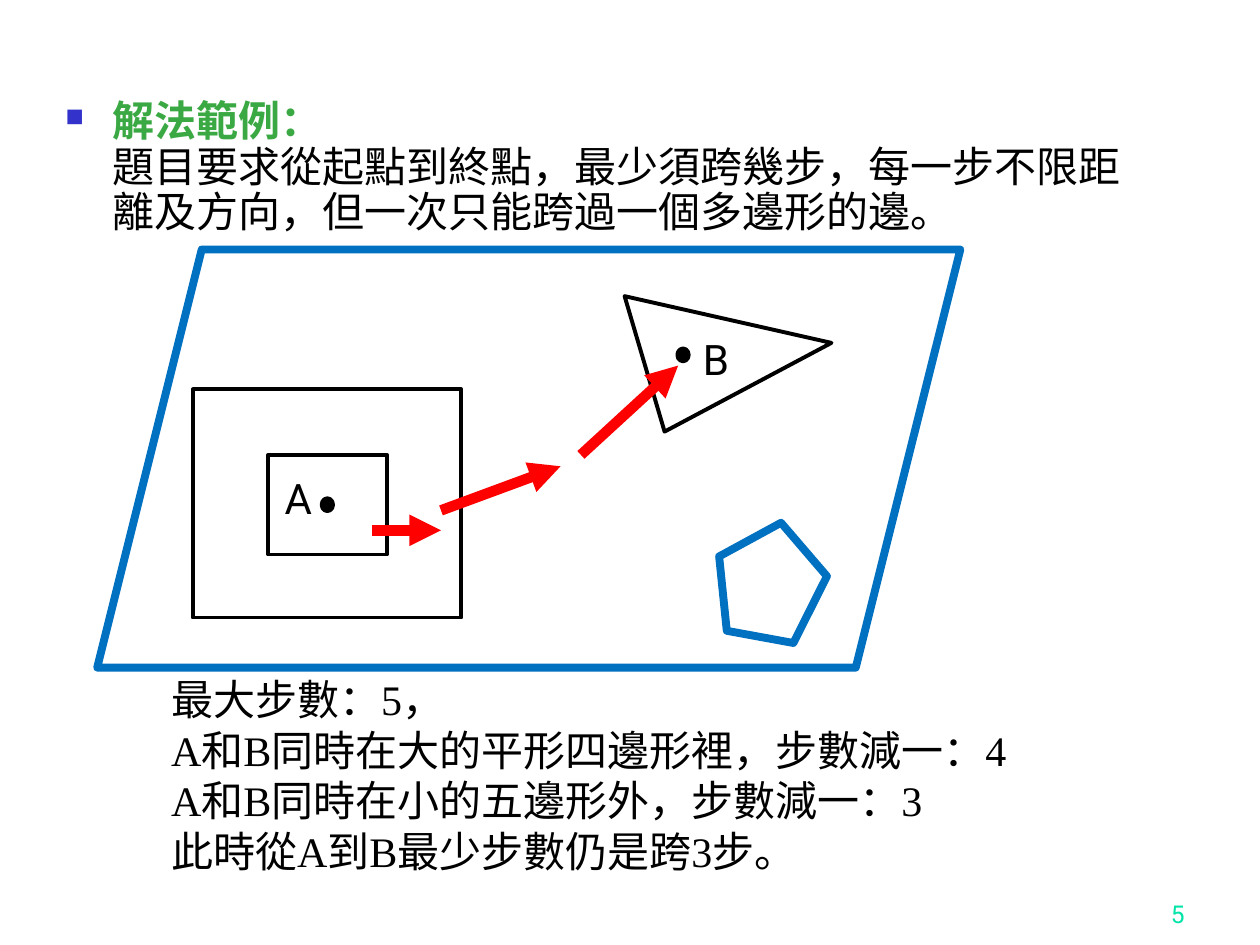
import pptx
import pptx.dml.color
import pptx.enum.shapes
import pptx.enum.text
import pptx.oxml
import pptx.oxml.ns
import pptx.util
from pptx.util import Cm

COLORS = {
    "ink": "000000",
    "heading": "3BA943",
    "bullet": "3333CC",
    "outline": "0070C0",
    "step": "FF0000",
    "number": "00E4A8",
}
SERIF, SANS = "Times New Roman", "Roboto"
SHAPE = pptx.enum.shapes.MSO_SHAPE


def rgb(name):
    """Return the palette colour with this name."""
    return pptx.dml.color.RGBColor.from_string(COLORS[name])


def add_xml(parent, xml):
    """Append a DrawingML element written without its namespace."""
    tag, rest = xml[1:].split(" ", 1)
    namespace = pptx.oxml.ns.nsdecls("a")
    parent.append(pptx.oxml.parse_xml(f"<a:{tag} {namespace} {rest}"))


def add_bullet(paragraph):
    """Give a paragraph a small square bullet with a hanging indent."""
    properties = paragraph._p.get_or_add_pPr()
    properties.set("marL", str(Cm(0.95)))
    properties.set("indent", str(-Cm(0.95)))
    add_xml(properties, f'<buClr ><a:srgbClr val="{COLORS["bullet"]}"/></a:buClr>')
    add_xml(properties, '<buSzPct val="60000"/>')
    add_xml(properties, '<buChar char="■"/>')


def add_text(slide, text, left, top, width, height, font=SERIF, size=24,
             color="ink", wrap=True, align="LEFT", anchor="TOP", heading=None,
             spacing=None):
    """Add a text box; lines are paragraphs and \\v breaks a line inside one."""
    box = slide.shapes.add_textbox(Cm(left), Cm(top), Cm(width), Cm(height))
    frame = box.text_frame
    frame.word_wrap = wrap
    frame.vertical_anchor = getattr(pptx.enum.text.MSO_ANCHOR, anchor)
    if not wrap:
        frame.auto_size = pptx.enum.text.MSO_AUTO_SIZE.SHAPE_TO_FIT_TEXT
    frame.text = f"{heading}\v{text}" if heading else text
    for paragraph in frame.paragraphs:
        if heading:
            add_bullet(paragraph)
        paragraph.alignment = getattr(pptx.enum.text.PP_ALIGN, align)
        paragraph.line_spacing = spacing
        for run in paragraph.runs:
            is_heading = run.text == heading
            run.font.name = font
            run.font.size = pptx.util.Pt(size)
            run.font.bold = is_heading
            run.font.color.rgb = rgb("heading" if is_heading else color)


def add_polygon(slide, kind, left, top, width, height, color="ink", weight=2.25,
                filled=False, rotation=0, adjustment=None):
    """Add a preset shape with an outline and an optional solid fill."""
    shape = slide.shapes.add_shape(kind, Cm(left), Cm(top), Cm(width), Cm(height))
    shape.shadow.inherit = False
    shape.rotation = rotation
    if adjustment is not None:
        shape.adjustments[0] = adjustment
    if filled:
        shape.fill.solid()
        shape.fill.fore_color.rgb = rgb(color)
    else:
        shape.fill.background()
    shape.line.color.rgb = rgb(color)
    shape.line.width = pptx.util.Pt(weight)


def add_step(slide, start, end):
    """Add a red arrow for one step."""
    step = slide.shapes.add_connector(
        pptx.enum.shapes.MSO_CONNECTOR.STRAIGHT, *map(Cm, start + end))
    step.line.color.rgb = rgb("step")
    step.line.width = pptx.util.Pt(6)
    add_xml(step.line._get_or_add_ln(), '<tailEnd type="triangle"/>')
    add_xml(step._element.spPr, "<effectLst />")


def add_point(slide, label, dot, label_corner):
    """Add a labelled dot."""
    add_polygon(slide, SHAPE.OVAL, *dot, 0.2, 0.23, weight=3, filled=True)
    add_text(slide, label, *label_corner, 1.04, 1.27, font=SANS, wrap=False)


def main():
    """Build the slide and save it."""
    deck = pptx.Presentation()
    deck.slide_width, deck.slide_height = Cm(25.4), Cm(19.05)
    slide = deck.slides.add_slide(deck.slide_layouts[6])

    add_text(slide, "5", 18.85, 17.58, 5.28, 1.27, font=SANS, size=14,
             color="number", align="RIGHT", anchor="BOTTOM")
    add_text(slide, "題目要求從起點到終點，最少須跨幾步，每一步不限距離及方向，"
             "但一次只能跨過一個多邊形的邊。",
             1.07, 1.9, 22.43, 15.62, heading="解法範例：", spacing=0.9)
    add_polygon(slide, SHAPE.PARALLELOGRAM, 1.96, 5.03, 17.4, 8.43,
                color="outline", weight=4.5, adjustment=0.25)
    add_text(slide, "最大步數：5，\n"
             "A和B同時在大的平形四邊形裡，步數減一：4\n"
             "A和B同時在小的五邊形外，步數減一：3\v"
             "此時從A到B最少步數仍是跨3步。",
             3.2, 13.46, 18.16, 4.32, wrap=False)
    add_polygon(slide, SHAPE.REGULAR_PENTAGON, 14.43, 10.52, 2.21, 2.34,
                color="outline", weight=4.5, rotation=10.4)
    add_polygon(slide, SHAPE.RECTANGLE, 3.89, 7.85, 5.41, 4.6)
    add_polygon(slide, SHAPE.ISOSCELES_TRIANGLE, 12.52, 5.18, 3.81, 2.79,
                rotation=332, adjustment=0.15)
    add_polygon(slide, SHAPE.RECTANGLE, 5.41, 9.17, 2.39, 2.01)
    add_point(slide, "A", (6.5, 10.06), (5.49, 9.4))
    add_point(slide, "B", (13.67, 7.04), (13.92, 6.6))
    for start, end in (
        ((7.49, 10.69), (8.89, 10.69)),
        ((8.89, 10.29), (11.3, 9.4)),
        ((11.71, 9.17), (13.67, 7.37)),
    ):
        add_step(slide, start, end)
    deck.save("out.pptx")


if __name__ == "__main__":
    main()
